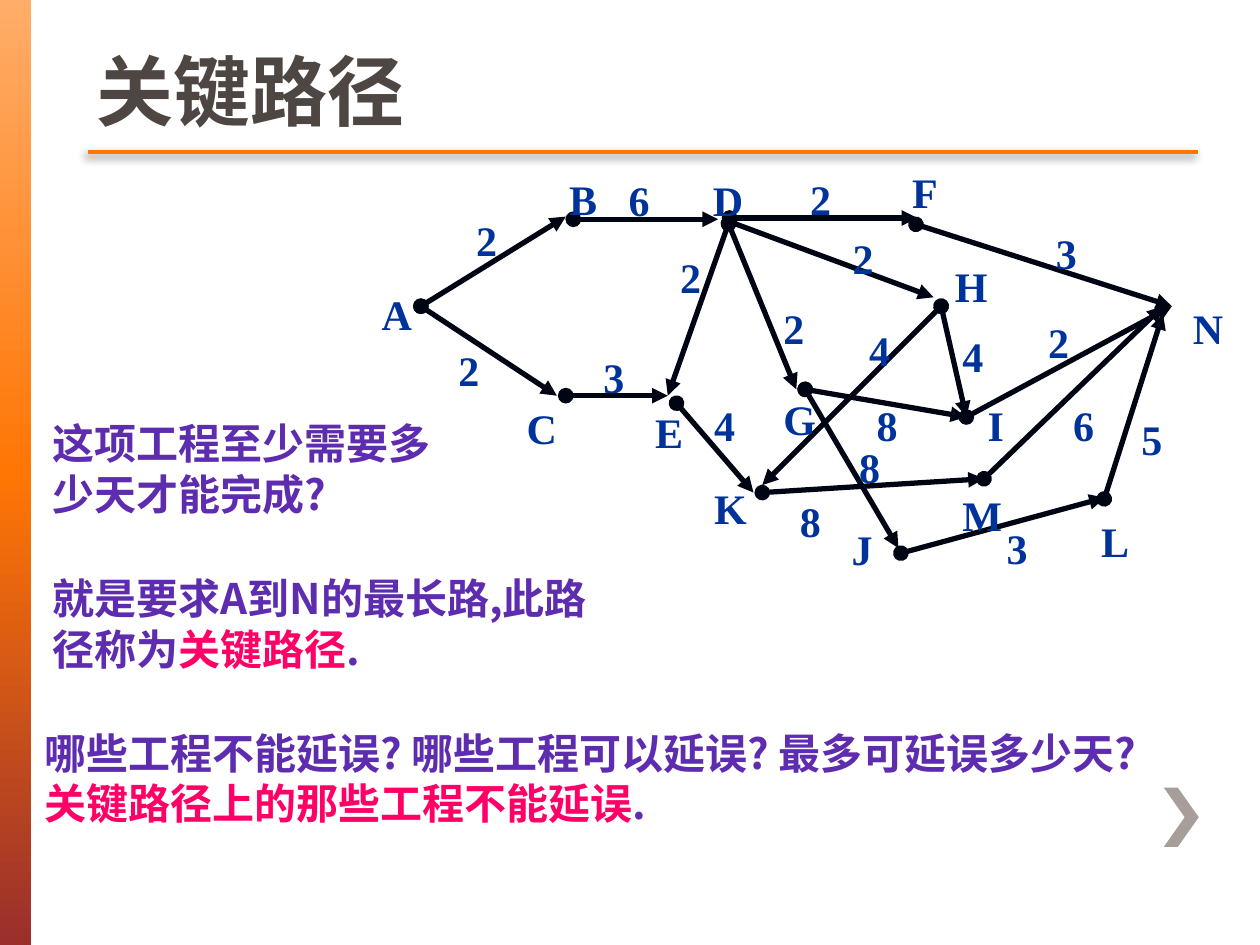
from lxml import etree
from pptx import Presentation, util as u
from pptx.dml.color import RGBColor
from pptx.enum import shapes, text
from pptx.oxml import ns

NAVY, VIOLET, PINK, ORANGE = "003399", "5E2CAE", "FF0066", "FF7605"
CJK = "Noto Sans CJK SC"


def rgb(value):
    return RGBColor.from_string(value)


def add_xml(parent, tag, **attrs):
    return etree.SubElement(parent, ns.qn(tag), **attrs)


def add_run(p, words, font=CJK, size=24, color=VIOLET):
    r = p.add_run()
    r.text = words
    r.font.name, r.font.size, r.font.bold = font, u.Pt(size), True
    r.font.color.rgb = rgb(color)
    add_xml(r.font._element, "a:ea", typeface=CJK)


class Deck:
    """Holds the slide and draws each kind of element in its style."""

    def __init__(self):
        self.prs = Presentation()
        self.prs.slide_width, self.prs.slide_height = u.Pt(720), u.Pt(540)
        self.s = self.prs.slides.add_slide(self.prs.slide_layouts[6])

    def gradient_bar(self, x, y, w, h, stops):
        sp = self.s.shapes.add_shape(shapes.MSO_SHAPE.RECTANGLE, *map(u.Pt, (x, y, w, h)))
        sp.shadow.inherit = False
        sp.line.fill.background()
        sp.fill.gradient()
        sp.fill.gradient_angle = 270
        stop_list = sp._element.spPr.find(".//" + ns.qn("a:gsLst"))
        for old in list(stop_list):
            stop_list.remove(old)
        for pos, color in stops:
            stop = add_xml(stop_list, "a:gs", pos=str(pos * 1000))
            add_xml(stop, "a:srgbClr", val=color)

    def polygon(self, points, color):
        builder = self.s.shapes.build_freeform(*points[0], scale=u.Pt(1))
        builder.add_line_segments(points[1:], close=True)
        sp = builder.convert_to_shape()
        sp.shadow.inherit = False
        sp.fill.solid()
        sp.fill.fore_color.rgb = rgb(color)
        sp.line.fill.background()

    def line(self, start, end, color, width, arrow=False, shadow=False):
        cx = self.s.shapes.add_connector(shapes.MSO_CONNECTOR.STRAIGHT, *map(u.Pt, (*start, *end)))
        cx.line.color.rgb, cx.line.width = rgb(color), u.Pt(width)
        if arrow:
            ln = cx.line._get_or_add_ln()
            add_xml(ln, "a:headEnd", type="oval")
            add_xml(ln, "a:tailEnd", type="triangle")
        effects = add_xml(cx._element.spPr, "a:effectLst")
        if shadow:
            outer = add_xml(effects, "a:outerShdw", blurRad=str(u.Pt(5)), dist=str(u.Pt(3)),
                            dir="8100000", algn="tl", rotWithShape="0")
            add_xml(add_xml(outer, "a:srgbClr", val="000000"), "a:alpha", val="45000")

    def text(self, x, y, w, h, paragraphs, top=3.6, spacing=None, indent=0,
             anchor=text.MSO_ANCHOR.TOP, **style):
        tf = self.s.shapes.add_textbox(*map(u.Pt, (x, y, w, h))).text_frame
        tf.word_wrap, tf.vertical_anchor, tf.margin_top = True, anchor, u.Pt(top)
        for i, runs in enumerate(paragraphs):
            p = tf.paragraphs[0] if i == 0 else tf.add_paragraph()
            if spacing:
                p.line_spacing = u.Pt(spacing)
            if indent:
                p._p.get_or_add_pPr().set("marL", str(u.Pt(indent)))
            for words, color in runs:
                add_run(p, words, color=color, **style)

    def label(self, words, x, y):
        self.text(x, y, 29.5, 36, [[(words, NAVY)]], top=6, font="Times New Roman")


NODES = {
    "A": ((240.5, 175), (211, 159.1)), "B": ((327.6, 125.3), (318.2, 92.9)),
    "C": ((323.3, 226.1), (293.8, 223.9)), "D": ((416.3, 127.8), (400.3, 93.6)),
    "E": ((386.6, 230.4), (367.2, 226.1)), "F": ((523.4, 128.2), (514.1, 89.3)),
    "G": ((460.1, 222.5), (440.6, 218.9)), "H": ((537.8, 175), (538.6, 142.6)),
    "I": ((552.2, 238.3), (557.3, 222.5)), "J": ((514.8, 316.1), (479.5, 293)),
    "K": ((435.6, 281.5), (401, 270)), "L": ((631, 285.1), (622.1, 288.7)),
    "M": ((562.3, 273.6), (542.9, 273.6)), "N": ((669.6, 175), (674.6, 167)),
}
EDGES = [
    ("A", (323.3, 123.8), "2", (265, 116.6)),
    ("A", (318.2, 226.1), "2", (254.9, 190.8)),
    ("B", (410.4, 125.3), "6", (352.1, 93.6)),
    ("C", (381.6, 226.1), "3", (337.7, 195.1)),
    ("D", (381.6, 226.1), "2", (381.6, 137.5)),
    ("D", (524.2, 124.6), "2", (455.8, 92.9)),
    ("D", (455, 222.5), "2", (440.6, 167)),
    ("D", (533.5, 169.9), "2", (480.2, 126.7)),
    ("E", (430.6, 281.5), "4", (401, 222.5)),
    ("F", (669.6, 175), "3", (596.2, 123.8)),
    ("G", (552.2, 238.3), "8", (493.9, 222.5)),
    ("G", (513.4, 313.2), "8", (483.8, 246.2)),
    ("H", (552.2, 238.3), "4", (542.9, 182.9)),
    ("H", (435.6, 277.2), "4", (489.6, 179.3)),
    ("I", (669.6, 175), "2", (591.8, 175)),
    ("J", (631.4, 284.4), "3", (568.1, 292.3)),
    ("K", (562.3, 273.6), "8", (450, 277.2)),
    ("L", (664.6, 179.3), "5", (645.1, 230.4)),
    ("M", (664.6, 175), "6", (606.2, 222.5)),
]
STARTS = {(524.2, 124.6): (416.9, 124.6), (533.5, 169.9): (416.9, 126.7)}

deck = Deck()
deck.gradient_bar(0, 0, 18, 540, [(0, "FFAD69"), (50, ORANGE), (100, "9A2F2C")])
deck.polygon([(673.2, 450), (665.3, 450), (676.8, 467), (665.3, 484),
              (673.2, 484), (684.7, 467)], "A79D99")
deck.line((50.4, 87), (684.7, 87), ORANGE, 2.5, shadow=True)
for node, end, weight, spot in EDGES:
    deck.line(STARTS.get(end, NODES[node][0]), end, "000514", 3, arrow=True)
    deck.label(weight, *spot)
for name, (_, spot) in NODES.items():
    deck.label(name, *spot)

deck.text(23, 234.7, 239.8, 64.8, [[("这项工程至少需要多少天才能完成?", VIOLET)]], spacing=29)
deck.text(23, 323.3, 337.7, 64.8, [[("就是要求A到N的最长路,此路径称为", VIOLET),
                                    ("关键路径", PINK), (".", VIOLET)]], spacing=29)
deck.text(13, 411.8, 686.2, 64.8, [
    [("哪些工程不能延误? 哪些工程可以延误? 最多可延误多少天?", VIOLET)],
    [("关键路径上的那些工程不能延误", PINK), (".", VIOLET)]], spacing=29, indent=5.5)
deck.text(48.2, 0, 634.3, 81.4, [[("关键路径", "4D4643")]],
          anchor=text.MSO_ANCHOR.BOTTOM, font="Arial", size=44)
deck.prs.save("out.pptx")
